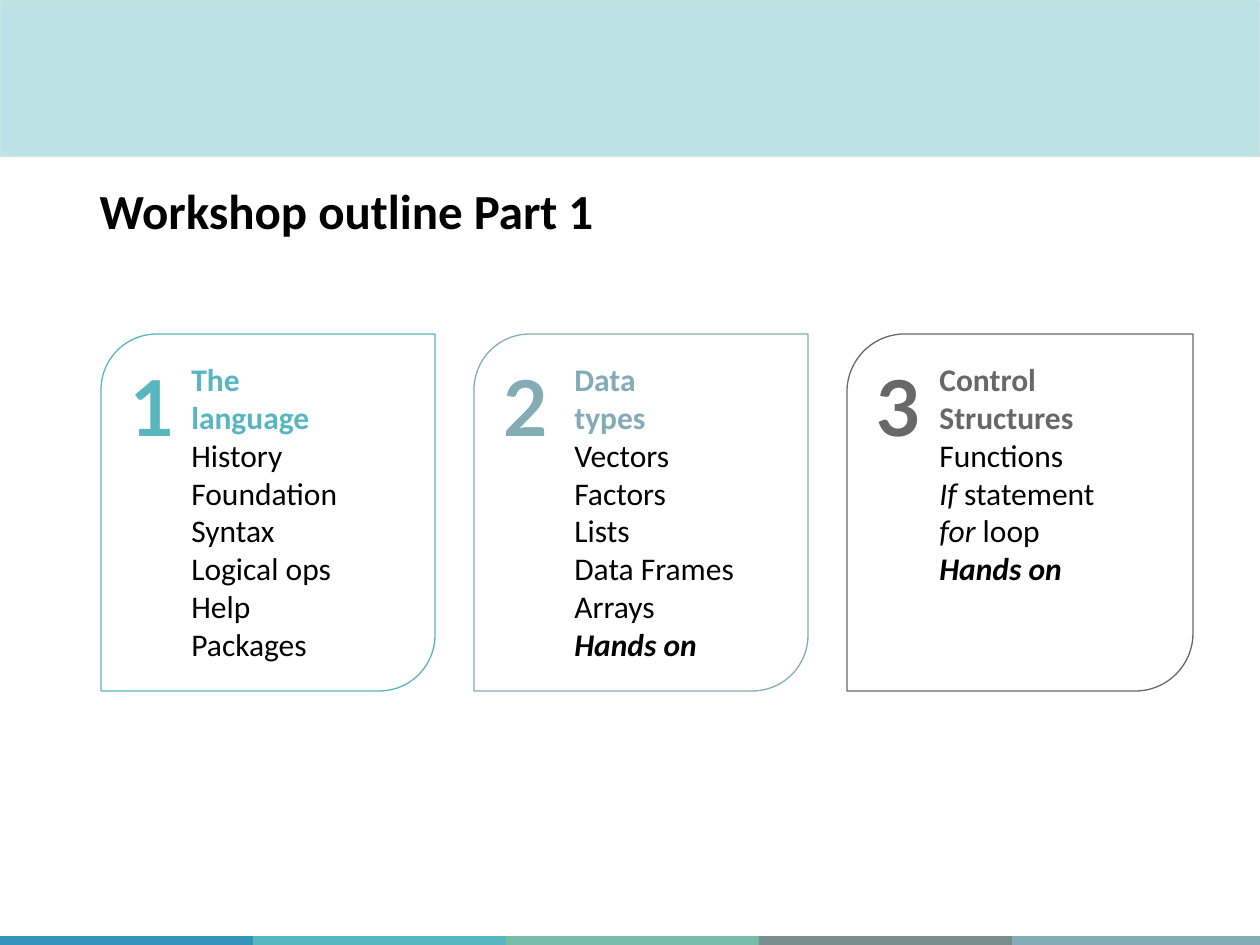
from pptx import Presentation
from pptx.dml.color import RGBColor
from pptx.enum.shapes import MSO_SHAPE as SHAPE
from pptx.enum.text import MSO_ANCHOR as ANCHOR, MSO_AUTO_SIZE as AUTO, PP_ALIGN as ALIGN
from pptx.util import Emu, Pt

SCALE = 914400 / 126  # EMU in one px
WIDTH, HEIGHT = 1260, 945
COLORS = {
    "black": "000000", "band": "BCE2E6", "band_line": "C8E5DC",
    "blue": "3494BA", "teal": "58B6C0", "green": "75BDA7",
    "slate": "7A8C8E", "mist": "84ACB6", "gray": "686868",
}
# Each line is a list of (text, style) runs; style holds "b" and/or "i"
HANDS_ON = [("Hands on", "bi")]
CARDS = [
    dict(box=(101, 334, 334, 357), color="teal", text_dx=78, heading=["The", "language"],
         items=["History", "Foundation", "Syntax", "Logical ops", "Help", "Packages"]),
    dict(box=(474, 334, 334, 357), color="mist", text_dx=88, heading=["Data", "types"],
         items=["Vectors", "Factors", "Lists", "Data Frames", "Arrays", HANDS_ON]),
    dict(box=(847, 334, 346, 357), color="gray", text_dx=80, heading=["Control", "Structures"],
         items=["Functions", [("If", "i"), (" statement", "")],
                [("for", "i"), (" loop", "")], HANDS_ON]),
]


def px(n):
    return Emu(round(n * SCALE))


def rgb(name):
    return RGBColor.from_string(COLORS[name])


def add_box(slide, kind, box, fill=None, line=None, line_pt=0.75):
    s = slide.shapes.add_shape(kind, *map(px, box))
    s.shadow.inherit = False
    if fill:
        s.fill.solid()
        s.fill.fore_color.rgb = rgb(fill)
    else:
        s.fill.background()
    if line:
        s.line.color.rgb = rgb(line)
        s.line.width = Pt(line_pt)
    else:
        s.line.fill.background()
    return s


def write(p, runs, size=18, font="Calibri", color="black", style=""):
    """Fill a paragraph from a string or a list of (text, style) runs."""
    if isinstance(runs, str):
        runs = [(runs, style)]
    p.alignment = ALIGN.LEFT
    for text, run_style in runs:
        r = p.add_run()
        r.text = text
        r.font.size, r.font.name = Pt(size), font
        r.font.color.rgb = rgb(color)
        r.font.bold, r.font.italic = "b" in run_style, "i" in run_style


def add_text_frame(slide, box, wrap=True):
    tf = slide.shapes.add_textbox(*map(px, box)).text_frame
    tf.word_wrap = wrap
    return tf


def add_title(slide, box, text):
    sp = slide.shapes.title
    sp.left, sp.top, sp.width, sp.height = map(px, box)
    tf = sp.text_frame
    tf.auto_size = AUTO.NONE
    tf.vertical_anchor = ANCHOR.BOTTOM
    p = tf.paragraphs[0]
    p.line_spacing = 0.9
    write(p, text, size=28, style="b")


def add_footer(slide, box, colors):
    left, top, width, height = box
    step = -(-width // len(colors)) + 1
    for i, color in enumerate(colors):
        x = i * step
        add_box(slide, SHAPE.RECTANGLE, (left + x, top, min(step, width - x), height), fill=color)


def add_card(slide, number, box, color, text_dx, heading, items):
    x, y, w, h = box
    # Outline
    s = add_box(slide, SHAPE.ROUND_2_DIAG_RECTANGLE, box, line=color)
    s.adjustments[0], s.adjustments[1] = 0.167, 0
    # Number
    tf = add_text_frame(slide, (x + 17, y + 19, 68, 106), wrap=False)
    write(tf.paragraphs[0], str(number), size=44, font="Lato", color=color, style="b")
    # Heading and topics
    tf = add_text_frame(slide, (x + text_dx, y + 20, w - text_dx - 10, h - 38))
    lines = [(t, color, "b") for t in heading] + [(t, "black", "") for t in items]
    for i, (runs, line_color, style) in enumerate(lines):
        p = tf.add_paragraph() if i else tf.paragraphs[0]
        write(p, runs, color=line_color, style=style)


def main():
    prs = Presentation()
    prs.slide_width, prs.slide_height = px(WIDTH), px(HEIGHT)
    slide = prs.slides.add_slide(prs.slide_layouts[5])
    # Bands
    add_footer(slide, (0, 936, WIDTH, 9), ["blue", "teal", "green", "slate", "mist"])
    add_box(slide, SHAPE.RECTANGLE, (0, 0, WIDTH, 156), fill="band", line="band_line", line_pt=1)
    # Content
    add_title(slide, (87, 160, 1086, 86), "Workshop outline Part 1")
    for number, card in enumerate(CARDS, 1):
        add_card(slide, number, **card)
    prs.save("out.pptx")


if __name__ == "__main__":
    main()
